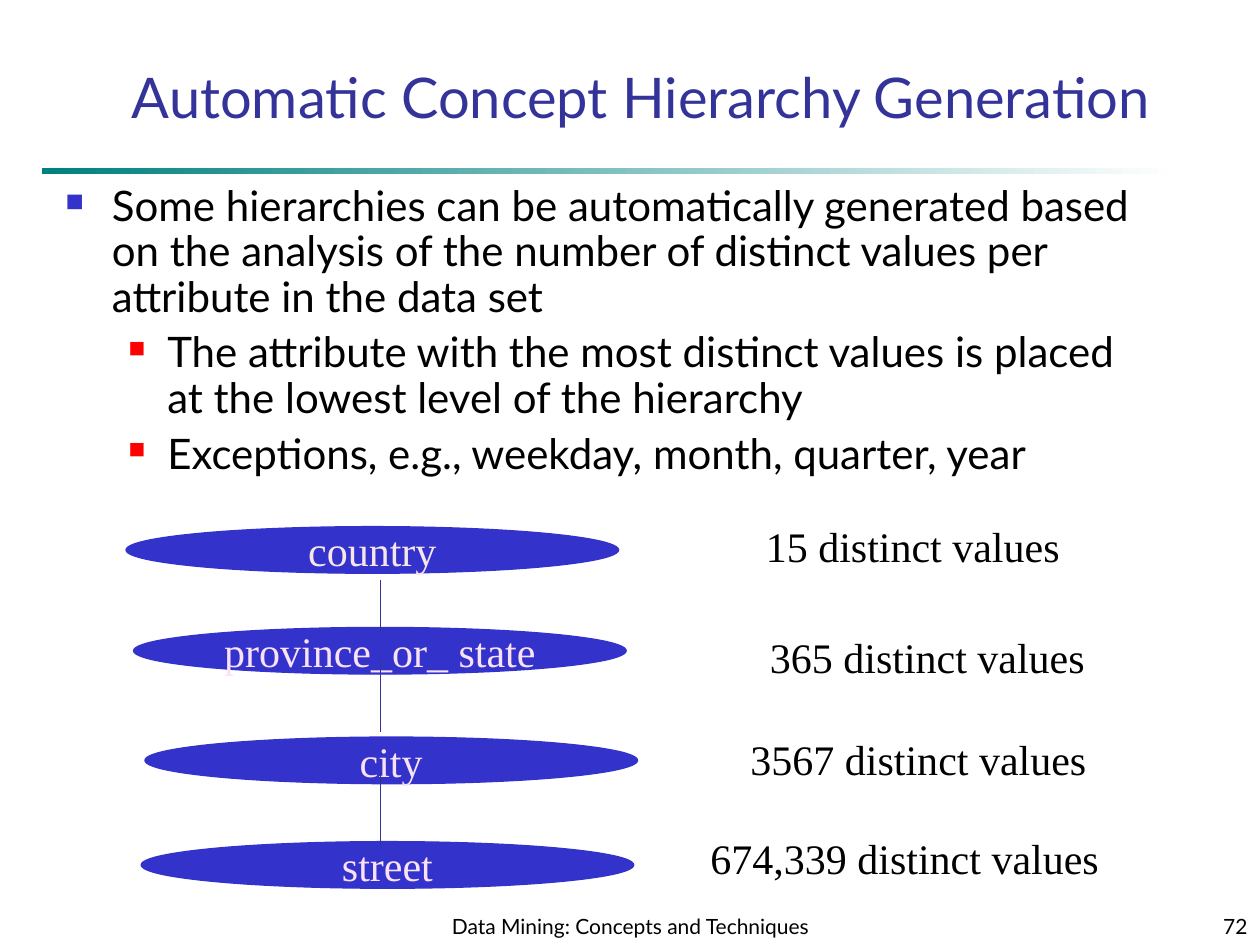
from lxml import etree
from pptx import Presentation
from pptx.dml.color import RGBColor
from pptx.enum.shapes import MSO_CONNECTOR, MSO_SHAPE
from pptx.enum.text import MSO_ANCHOR, MSO_AUTO_SIZE, PP_ALIGN
from pptx.oxml.ns import qn
from pptx.util import Inches, Pt

LEFT, CENTER, RIGHT = PP_ALIGN.LEFT, PP_ALIGN.CENTER, PP_ALIGN.RIGHT
TOP, MIDDLE, BOTTOM = MSO_ANCHOR.TOP, MSO_ANCHOR.MIDDLE, MSO_ANCHOR.BOTTOM
STRAIGHT = MSO_CONNECTOR.STRAIGHT
RECTANGLE, OVAL = MSO_SHAPE.RECTANGLE, MSO_SHAPE.OVAL
NO_AUTOFIT = MSO_AUTO_SIZE.NONE

SANS, SERIF = "Lato", "Times New Roman"
BLACK, NAVY, BLUE, RED = "000000", "333399", "3333CC", "FF0000"
TEAL, WHITE, ROSE, PINK = "008080", "FFFFFF", "F6E6EA", "FAE2F6"

POINTS = [
    (0, "Some hierarchies can be automatically generated based on the analysis "
        "of the number of distinct values per attribute in the data set"),
    (1, "The attribute with the most distinct values is placed at the lowest "
        "level of the hierarchy"),
    (1, "Exceptions, e.g., weekday, month, quarter, year"),
]
BULLET_STYLES = [(0.37, 0.37, BLUE, 60), (0.81, 0.31, RED, 55)]

LEVELS = [
    ("country", 1, 4.18, ROSE),
    ("province_or_ state", 1.06, 4.98, PINK),
    ("city", 1.15, 5.85, PINK),
    ("street", 1.12, 6.68, PINK),
]
LINKS = [(4.6, 5.02), (5.23, 5.81), (6.12, 6.72)]
COUNTS = [
    ("15 distinct values", 5.98, 4.08, 2.53),
    ("365 distinct values", 6, 4.96, 2.72),
    ("3567 distinct values", 5.86, 5.77, 2.86),
    ("674,339 distinct values", 5.54, 6.56, 3.28),
]


def color(value):
    return RGBColor.from_string(value)


class SlideBuilder:
    def __init__(self, deck):
        self.page = deck.slides.add_slide(deck.slide_layouts[5])

    def format_frame(self, frame, anchor, wrap=True):
        frame.auto_size = NO_AUTOFIT
        frame.word_wrap = wrap
        frame.vertical_anchor = anchor
        frame.margin_left = frame.margin_right = Inches(0.1)
        frame.margin_top = frame.margin_bottom = Inches(0.05)

    def format_paragraph(self, paragraph, font, size, ink, align):
        paragraph.alignment = align
        for span in paragraph.runs:
            span.font.name = font
            span.font.size = Pt(size)
            span.font.color.rgb = color(ink)

    def title(self, text, left, top, width, height):
        box = self.page.shapes.title
        box.left, box.top = Inches(left), Inches(top)
        box.width, box.height = Inches(width), Inches(height)
        box.text_frame.text = text
        self.format_frame(box.text_frame, BOTTOM)
        self.format_paragraph(box.text_frame.paragraphs[0], SANS, 32, NAVY, CENTER)

    def rule(self, left, top, width, height):
        bar = self.page.shapes.add_shape(
            RECTANGLE, Inches(left), Inches(top), Inches(width), Inches(height))
        bar.shadow.inherit = False
        bar.line.fill.background()
        bar.fill.gradient()
        bar.fill.gradient_angle = 0
        for stop, shade in zip(bar.fill.gradient_stops, (TEAL, WHITE)):
            stop.color.rgb = color(shade)

    def label(self, text, left, top, width, height, font, size,
              align=CENTER, anchor=TOP, wrap=True):
        box = self.page.shapes.add_textbox(
            Inches(left), Inches(top), Inches(width), Inches(height))
        box.text_frame.text = text
        self.format_frame(box.text_frame, anchor, wrap)
        self.format_paragraph(box.text_frame.paragraphs[0], font, size, BLACK, align)

    def add_bullet(self, paragraph, level):
        indent, hanging, ink, percent = BULLET_STYLES[level]
        properties = paragraph._p.get_or_add_pPr()
        properties.set("marL", str(Inches(indent)))
        properties.set("indent", str(-Inches(hanging)))
        holder = etree.SubElement(properties, qn("a:buClr"))
        etree.SubElement(holder, qn("a:srgbClr"), val=ink)
        etree.SubElement(properties, qn("a:buSzPct"), val=str(percent * 1000))
        etree.SubElement(properties, qn("a:buChar"), char="■")

    def bullets(self, points, left, top, width, height):
        box = self.page.shapes.add_textbox(
            Inches(left), Inches(top), Inches(width), Inches(height))
        frame = box.text_frame
        frame.text = "\n".join(text for _, text in points)
        self.format_frame(frame, TOP)
        for index, (paragraph, (level, _)) in enumerate(zip(frame.paragraphs, points)):
            paragraph.level = level
            self.add_bullet(paragraph, level)
            paragraph.line_spacing = 0.9
            paragraph.space_before = Pt(6 if index else 0)
            self.format_paragraph(paragraph, SANS, 24, BLACK, LEFT)

    def ellipse(self, text, left, top, width, height, ink):
        oval = self.page.shapes.add_shape(
            OVAL, Inches(left), Inches(top), Inches(width), Inches(height))
        oval.shadow.inherit = False
        oval.fill.solid()
        oval.fill.fore_color.rgb = color(BLUE)
        oval.line.color.rgb = color(BLUE)
        oval.line.width = Pt(0.75)
        oval.text_frame.text = text
        self.format_frame(oval.text_frame, MIDDLE, wrap=False)
        self.format_paragraph(oval.text_frame.paragraphs[0], SERIF, 24, ink, CENTER)

    def vertical_line(self, x, top, bottom):
        line = self.page.shapes.add_connector(
            STRAIGHT, Inches(x), Inches(top), Inches(x), Inches(bottom))
        line.line.color.rgb = color(NAVY)
        line.line.width = Pt(0.75)
        etree.SubElement(line._element.spPr, qn("a:effectLst"))


def main():
    deck = Presentation()
    deck.slide_width, deck.slide_height = Inches(10), Inches(7.5)
    builder = SlideBuilder(deck)
    builder.rule(0.33, 1.33, 9, 0.05)
    builder.label("Data Mining: Concepts and Techniques", 3.42, 7.08, 3.17, 0.42,
                  SANS, 12, anchor=BOTTOM)
    builder.label("72", 7.92, 7.08, 2.08, 0.42, SANS, 12, align=RIGHT, anchor=BOTTOM)
    builder.title("Automatic Concept Hierarchy Generation", 0.83, 0.33, 8.52, 0.75)
    builder.bullets(POINTS, 0.42, 1.42, 8.83, 2.5)
    for text, left, top, ink in LEVELS:
        builder.ellipse(text, left, top, 3.91, 0.37, ink)
    for top, bottom in LINKS:
        builder.vertical_line(3.02, top, bottom)
    for text, left, top, width in COUNTS:
        builder.label(text, left, top, width, 0.5, SERIF, 24, wrap=False)
    deck.save("out.pptx")


if __name__ == "__main__":
    main()
